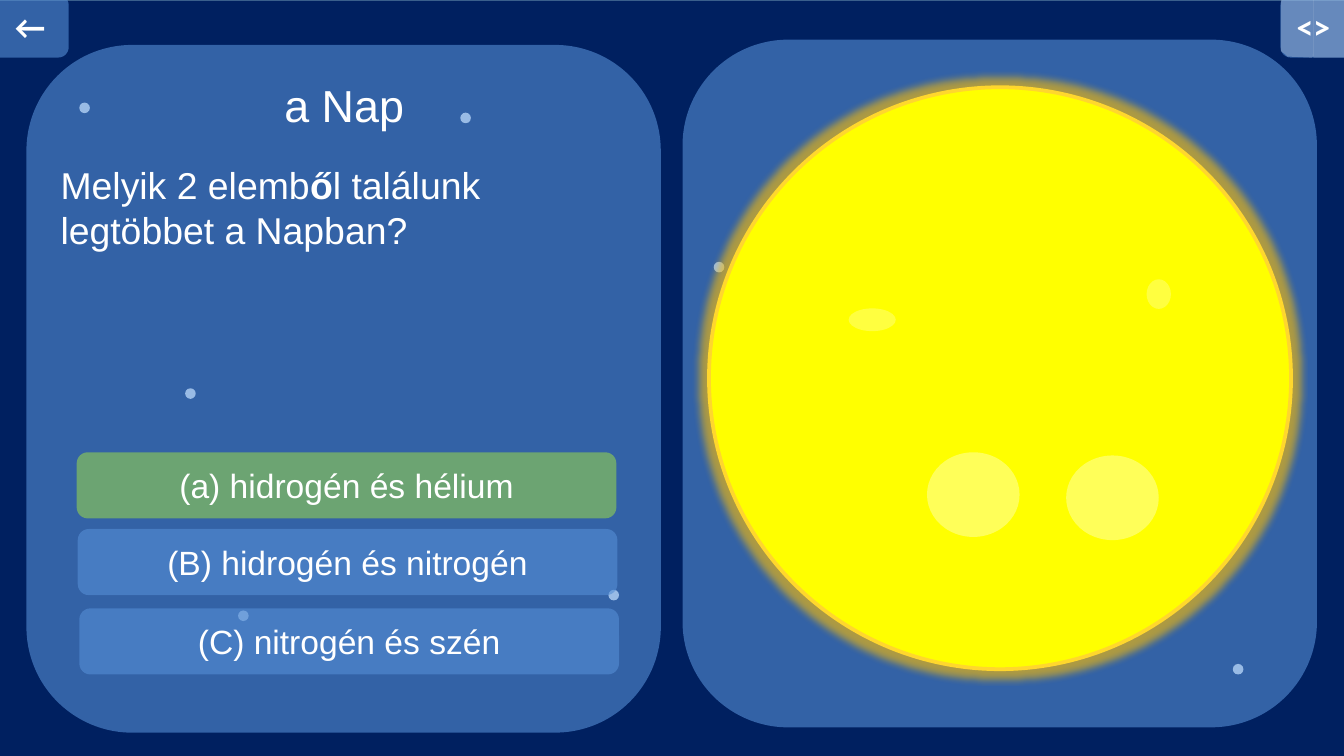
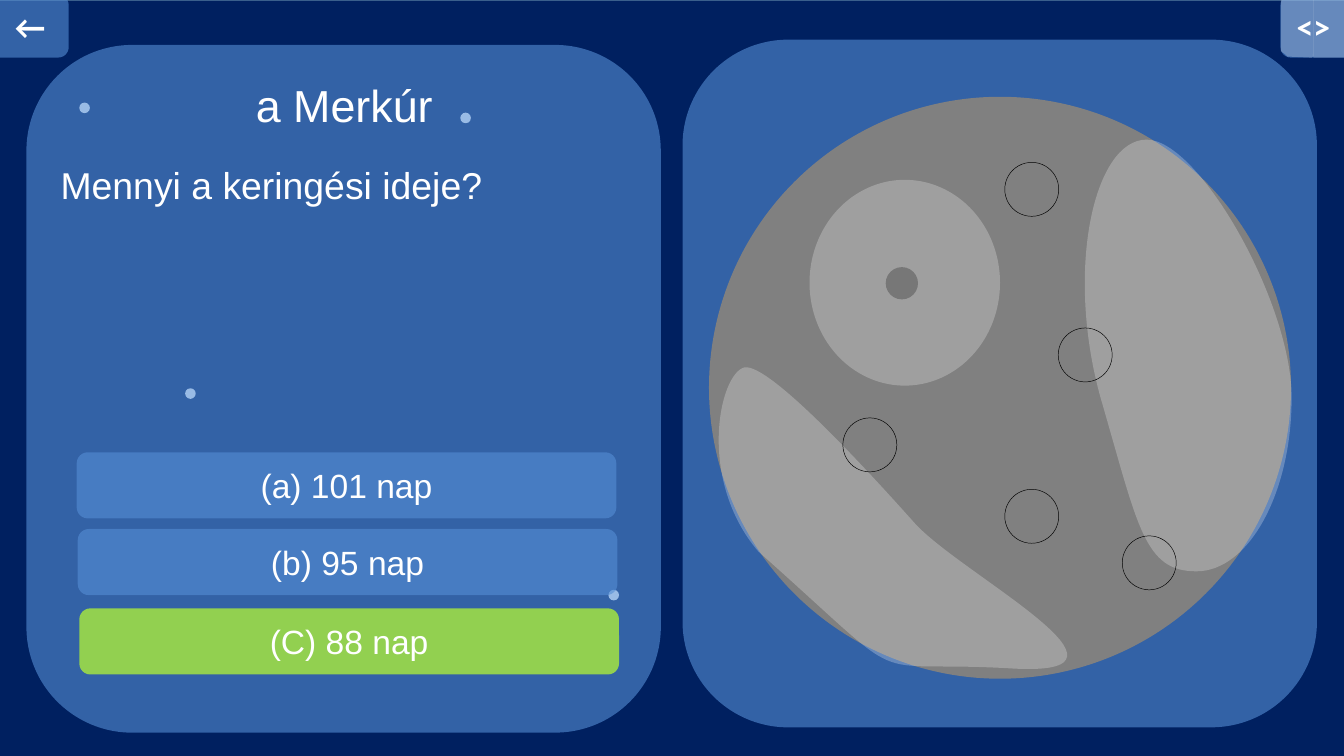
from math import cos, radians, sin

from lxml.etree import SubElement
from pptx import Presentation
from pptx.dml.color import RGBColor
from pptx.enum.shapes import MSO_SHAPE
from pptx.enum.text import MSO_ANCHOR, MSO_AUTO_SIZE, PP_ALIGN
from pptx.oxml.ns import qn
from pptx.util import Cm, Pt

NAVY = RGBColor(0x00, 0x20, 0x60)
EDGE = RGBColor(0x3A, 0x5F, 0x8C)
BLUE = RGBColor(0x55, 0x8E, 0xD5)
GREEN = RGBColor(0x92, 0xD0, 0x50)
WHITE = RGBColor(0xFF, 0xFF, 0xFF)
BLACK = RGBColor(0x00, 0x00, 0x00)
YELLOW = RGBColor(0xFF, 0xFF, 0x00)
GOLD = RGBColor(0xFF, 0xD7, 0x2D)
AMBER = RGBColor(0xFF, 0xC0, 0x00)
GRAY = RGBColor(0x80, 0x80, 0x80)

PANEL_SIZE = (11.99, 13)
BUTTON_SIZE = (1.6, 1.19)
PLANET = 11
STAR = 0.2
STARS = [(11.5, 11.15), (8.7, 2.13), (3.5, 7.34), (1.5, 1.94)]
SUN_STARS = [(13.49, 4.95), (23.3, 12.55), (4.5, 11.54)]
ANSWER_SPOTS = [(1.45, 8.55), (1.47, 10), (1.5, 11.5)]

# Outlines: a start point, then segments of one (line) or three (curve) points
BUTTON_HALVES = [
    ((24.21, 0), [
        [(24.28, -0.08), (24.26, -0.03), (24.31, -0.1)], [(24.76, -0.1)],
        [(24.84, -0.1), (24.82, -0.08), (24.82, 0)], [(24.82, 0.99)],
        [(24.82, 1.04), (24.84, 1.09), (24.79, 1.09)], [(24.33, 1.07)],
        [(24.28, 1.02), (24.31, 1.04), (24.21, 0.97)], [(24.21, 0)]]),
    ((24.82, 0), [
        [(24.82, -0.05), (24.79, -0.1), (24.84, -0.1)], [(25.4, -0.1)],
        [(25.48, -0.1), (25.53, -0.05), (25.53, 0)], [(25.53, 0.97)],
        [(25.53, 1.04), (25.55, 1.09), (25.48, 1.09)], [(24.84, 1.09)],
        [(24.79, 1.09), (24.82, 1.04), (24.82, 0.97)], [(24.82, 0)]]),
]
EAST_PLAIN = ((20.8, 7.52), [
    [(20.12, 5.08), (20.68, 2.64), (21.67, 2.64)],
    [(22.66, 2.64), (24.41, 5.72), (24.41, 7.52)],
    [(24.41, 9.32), (23.6, 10.8), (22.61, 10.8)],
    [(21.62, 10.8), (21.51, 9.96), (20.8, 7.52)]])
WEST_PLAIN = ((17.27, 9.86), [
    [(18.11, 10.82), (22.02, 12.8), (19.1, 12.62)],
    [(16.18, 12.45), (17.37, 13.11), (14.33, 10.41)],
    [(13.16, 9.04), (13.59, 7.04), (14.07, 6.93)],
    [(14.55, 6.86), (16.43, 8.92), (17.27, 9.86)]])
WEST_CENTER = (16.38, 10.31)
WEST_TILT = 139.6


def style(sp, color, alpha=100, line=None, width=2):
    """Set fill, opacity in percent and outline; None means none."""
    sp.shadow.inherit = False
    if color is None:
        sp.fill.background()
    else:
        sp.fill.solid()
        sp.fill.fore_color.rgb = color
        if alpha < 100:
            clr = sp._element.spPr.find(qn("a:solidFill"))[0]
            SubElement(clr, qn("a:alpha"), val=str(alpha * 1000))
    if line is None:
        sp.line.fill.background()
    else:
        sp.line.color.rgb = line
        sp.line.width = Pt(width)
    return sp


def add_box(shapes, kind, at, size, color, alpha=100, **outline):
    sp = shapes.add_shape(kind, *map(Cm, (*at, *size)))
    return style(sp, color, alpha, **outline)


def add_oval(shapes, at, size, color, alpha=100, **outline):
    return add_box(shapes, MSO_SHAPE.OVAL, at, size, color, alpha, **outline)


def add_round(shapes, at, size, color=BLUE, alpha=60):
    return add_box(shapes, MSO_SHAPE.ROUNDED_RECTANGLE, at, size, color, alpha)


def bezier(ends, t):
    weights = ((1 - t) ** 3, 3 * t * (1 - t) ** 2, 3 * t * t * (1 - t), t ** 3)
    return tuple(sum(w * e[axis] for w, e in zip(weights, ends)) for axis in (0, 1))


def turn(point, center, degrees):
    a = radians(degrees)
    dx, dy = point[0] - center[0], point[1] - center[1]
    return (center[0] + dx * cos(a) - dy * sin(a), center[1] + dx * sin(a) + dy * cos(a))


def add_outline(shapes, start, segments):
    """Draw a closed translucent white outline with true curves."""
    # Points along the curves give the frame
    points = [start]
    for seg in segments:
        ends = [points[-1], *seg]
        points += seg if len(seg) == 1 else [bezier(ends, i / 20) for i in range(1, 21)]
    emu = [(Cm(x), Cm(y)) for x, y in points]
    builder = shapes.build_freeform(*emu[0])
    builder.add_line_segments(emu[1:], close=True)
    sp = builder.convert_to_shape()
    # Segments replace the points inside that frame
    left, top = (min(axis) for axis in zip(*emu))
    outline = sp._element.spPr.find(".//" + qn("a:path"))
    for step in list(outline)[1:]:
        outline.remove(step)
    for seg in segments:
        step = SubElement(outline, qn("a:lnTo" if len(seg) == 1 else "a:cubicBezTo"))
        for x, y in seg:
            SubElement(step, qn("a:pt"), x=str(Cm(x) - left), y=str(Cm(y) - top))
    SubElement(outline, qn("a:close"))
    return style(sp, WHITE, 25)


def add_tilted_outline(shapes, start, segments, center, tilt):
    def level(point):
        return turn(point, center, -tilt)

    sp = add_outline(shapes, level(start), [[level(pt) for pt in seg] for seg in segments])
    sp.rotation = tilt


def format_run(r, size, font="Arial", bold=False):
    r.font.size = Pt(size)
    r.font.name = font
    r.font.bold = bold
    r.font.color.rgb = WHITE


def add_label(sp, text, font="Arial", bold=False, align=PP_ALIGN.CENTER):
    tf = sp.text_frame
    tf.text = text
    tf.vertical_anchor = MSO_ANCHOR.MIDDLE
    p = tf.paragraphs[0]
    p.alignment = align
    format_run(p.runs[0], 18, font, bold)


def fill_placeholder(s, sp, at, size, parts, points, align):
    """Place a placeholder on top; every second part of its text is bold."""
    s.shapes._spTree.append(sp._element)
    sp.left, sp.top, sp.width, sp.height = map(Cm, (*at, *size))
    tf = sp.text_frame
    tf.word_wrap = True
    tf.auto_size = MSO_AUTO_SIZE.SHAPE_TO_FIT_TEXT
    tf.vertical_anchor = MSO_ANCHOR.TOP
    p = tf.paragraphs[0]
    p.alignment = align
    p.space_before = Pt(0)
    pPr = p._p.get_or_add_pPr()
    pPr.set("marL", "0")
    pPr.set("indent", "0")
    SubElement(pPr, qn("a:buNone"))
    for i, text in enumerate(parts):
        r = p.add_run()
        r.text = text
        format_run(r, points, bold=i % 2 == 1)


def add_buttons(s):
    back = add_round(s.shapes, (-0.3, -0.1), BUTTON_SIZE)
    add_label(back, " ←", "Calibri", True)
    group = s.shapes.add_group_shape().shapes
    code = add_round(group, (24.2, -0.1), BUTTON_SIZE)
    add_label(code, "<>", "Calibri", True, PP_ALIGN.LEFT)
    for start, segments in BUTTON_HALVES:
        add_outline(group, start, segments)


def add_quiz(prs, title, question, height, answers, right, right_alpha, stars):
    s = prs.slides.add_slide(prs.slide_layouts[1])
    # Night sky and panels
    add_box(s.shapes, MSO_SHAPE.RECTANGLE, (-0.05, -0.02), (25.5, 14.35), NAVY, line=EDGE)
    for spot in stars:
        add_oval(s.shapes, spot, (STAR, STAR), WHITE)
    add_round(s.shapes, (12.9, 0.75), PANEL_SIZE)
    add_round(s.shapes, (0.5, 0.85), PANEL_SIZE)
    # Title and question
    fill_placeholder(s, s.shapes.title, (2.3, 1.35), (8.41, 1.27), [title], 24,
                     PP_ALIGN.CENTER)
    fill_placeholder(s, s.placeholders[1], (0.89, 2.94), (11.2, height), question, 20,
                     PP_ALIGN.LEFT)
    # Answers, with the right one in green
    for i, (spot, text) in enumerate(zip(ANSWER_SPOTS, answers)):
        color, alpha = (GREEN, right_alpha) if i == right else (BLUE, 60)
        add_label(add_round(s.shapes, spot, (10.2, 1.25), color, alpha), text)
    add_buttons(s)
    return s


def draw_sun(s):
    group = s.shapes.add_group_shape().shapes
    sun = add_oval(group, (13.4, 1.65), (PLANET, PLANET), YELLOW, line=GOLD)
    effects = sun._element.spPr.find(qn("a:effectLst"))
    glow = SubElement(effects, qn("a:glow"), rad=str(Pt(8)))
    clr = SubElement(glow, qn("a:srgbClr"), val=str(AMBER))
    SubElement(clr, qn("a:alpha"), val="60000")
    for at, size, alpha in [((20.15, 8.61), (1.75, 1.6), 35),
                            ((17.52, 8.55), (1.75, 1.6), 35),
                            ((21.67, 5.28), (0.46, 0.56), 25),
                            ((16.04, 5.83), (0.89, 0.43), 25)]:
        add_oval(group, at, size, WHITE, alpha)


def draw_mercury(s):
    group = s.shapes.add_group_shape().shapes
    add_oval(group, (13.4, 1.83), (PLANET, PLANET), GRAY)
    add_oval(group, (15.3, 3.4), (3.6, 3.89), WHITE, 25)
    add_outline(group, *EAST_PLAIN)
    add_tilted_outline(group, *WEST_PLAIN, WEST_CENTER, WEST_TILT)
    for crater in [(18.99, 9.25), (20, 6.2), (15.93, 7.9), (21.21, 10.13), (18.99, 3.07)]:
        add_oval(group, crater, (1.02, 1.02), None, line=BLACK, width=0.25)
    add_oval(group, (16.74, 5.05), (0.61, 0.61), BLACK, 25)


def main():
    prs = Presentation()
    prs.slide_width, prs.slide_height = Cm(25.4), Cm(14.29)

    # Slide 1: the Sun
    s = add_quiz(prs, "a Nap", ["Melyik 2 elemb", "ő", "l találunk legtöbbet a Napban?"], 1.96,
                 ["(a) hidrogén és hélium", "(B) hidrogén és nitrogén", "(C) nitrogén és szén"],
                 0, 60, STARS + SUN_STARS)
    draw_sun(s)

    # Slide 2: Mercury
    s = add_quiz(prs, "a Merkúr", ["Mennyi a keringési ideje?"], 1.12,
                 ["(a) 101 nap", "(b) 95 nap", "(C) 88 nap"], 2, 100, STARS)
    draw_mercury(s)

    prs.save("out.pptx")


if __name__ == "__main__":
    main()
